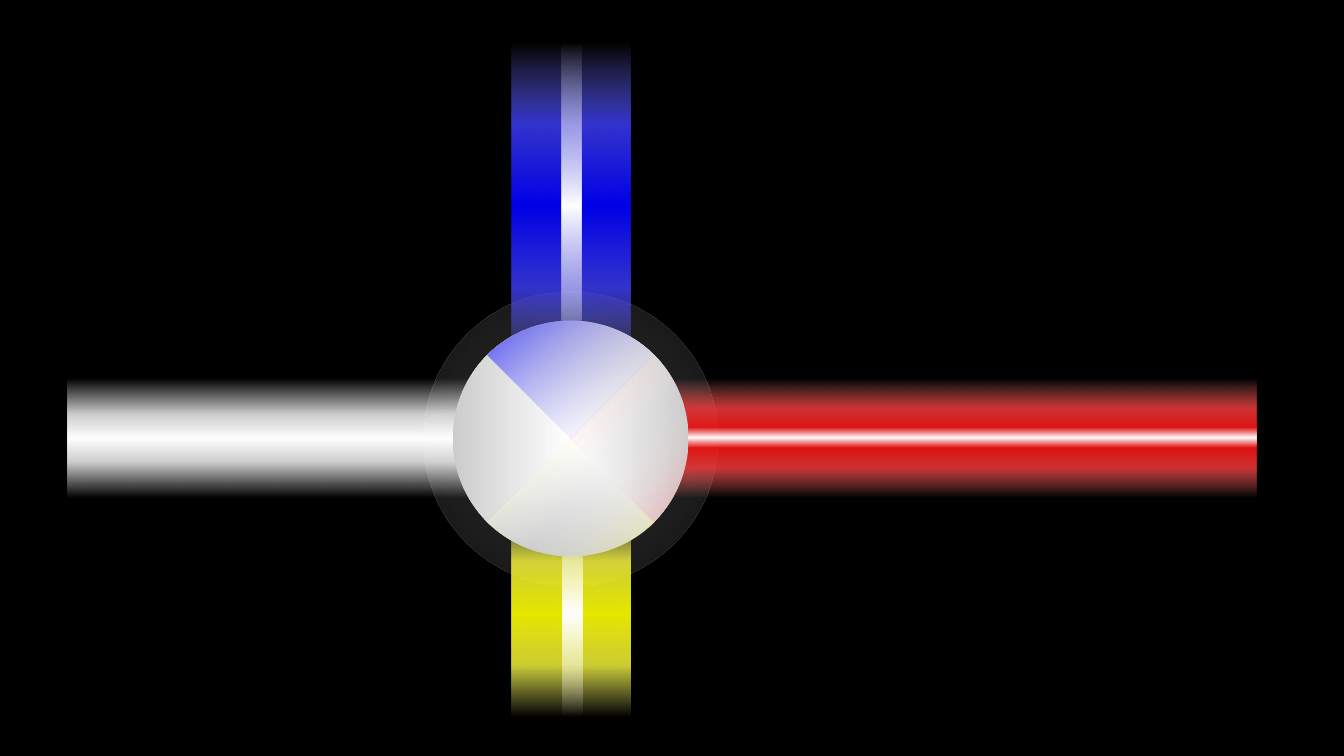
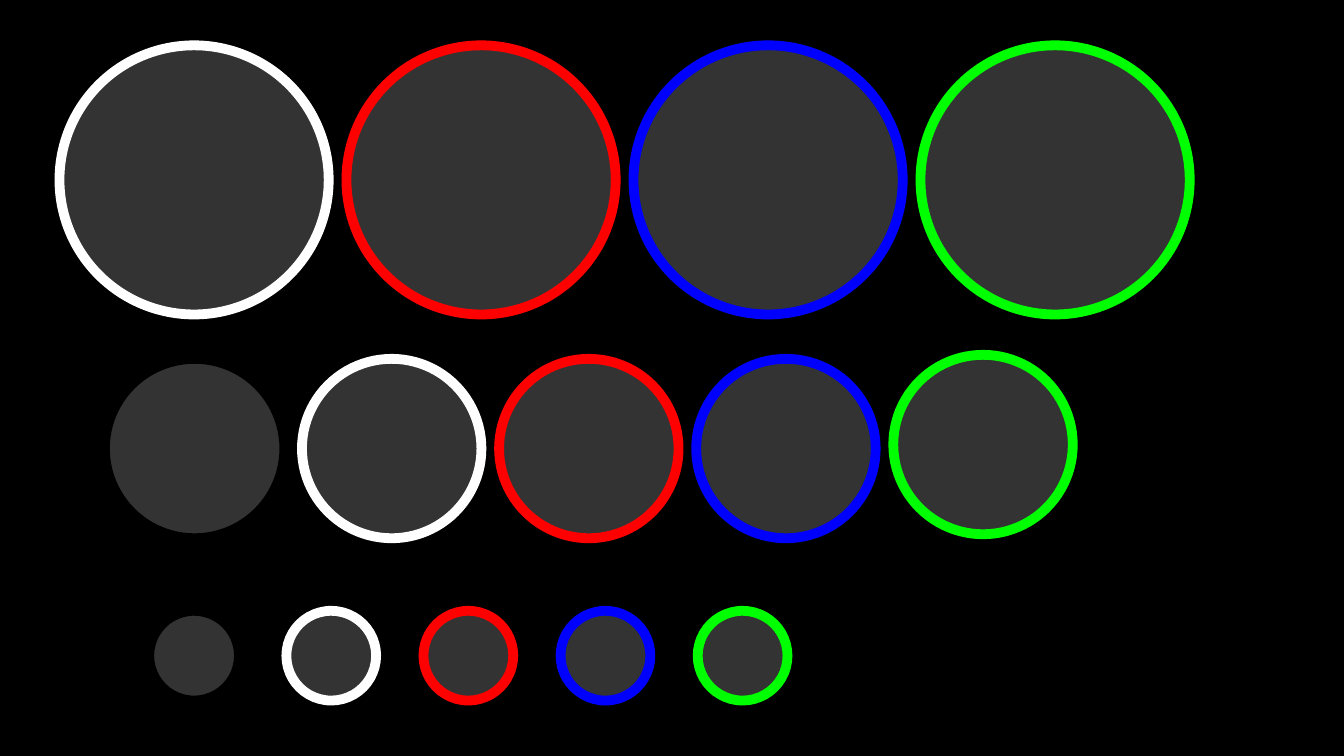
from lxml.etree import SubElement
from pptx import Presentation
from pptx.dml.color import RGBColor
from pptx.enum.shapes import MSO_SHAPE as Shp
from pptx.oxml.ns import qn
from pptx.util import Inches, Pt

# Content: colours
C = {"black": "000000", "white": "FFFFFF", "red": "FF0000", "blue": "0000FF",
     "green": "00FF00", "yellow": "FFFF00", "dark": "333333", "gray": "808080",
     "silver": "CCCCCC", "sea": "0070C0"}

# Content: gradient stops as (position %, colour, opacity %)
HALO = [(0, C["gray"], 0), (100, C["black"], 100)]
WHITE_BEAM = [(0, C["white"], 0), (30, C["white"], 80), (50, C["white"], 100),
              (70, C["white"], 80), (100, C["white"], 0)]
CORE = [(0, C["white"], 0), (50, C["white"], 100), (100, C["white"], 0)]
BALL = [(0, C["white"], 100), (100, C["silver"], 100)]

# Content: beams as (left, top, length), rotation, (edge, mid, centre), core offset
BEAM_H, CORE_H = 1.18, 0.2
BEAMS = [
    ((6.19, 3.76, 6.27), 0, ("FF8080", "FF4040", C["red"]), (0, 0.48)),
    ((4.04, 1.45, 3.24), 90, ("8080FF", "4040FF", C["blue"]), (0.01, 0.49)),
    ((4.64, 5.49, 2.05), 90, ("FFFF80", "FFFF40", C["yellow"]), (0.01, 0.49)),
]

# Content: ball sectors as rotation, centre colour, rim colour
BALL_BOX = (4.49, 3.18, 2.34, 2.34)
SECTORS = [(45, C["sea"], C["blue"]), (135, C["red"], C["red"]),
           (225, C["yellow"], C["yellow"])]
SECTOR_ANGLES = (107.994, 162.153)
CENTER, CORNER = (50, 50, 50, 50), (100, 100, 0, 0)

# Content: ring rows as first left, last left, top, diameter, fill, opacity, rings
RINGS = ["white", "red", "blue", "green"]
ROWS = [
    (0.59, 9.13, 0.45, 2.67, "dark", 100, RINGS),
    (1.04, 8.86, 3.56, 1.78, "white", 20, ["black"] + RINGS),
    (1.48, 6.92, 6.06, 0.89, "white", 20, ["black"] + RINGS),
]
TOP_SHIFT = {(1, "green"): -0.04}


def new_slide():
    slide = prs.slides.add_slide(prs.slide_layouts[6])
    slide.background.fill.solid()
    slide.background.fill.fore_color.rgb = RGBColor.from_string(C["black"])
    return slide


def add_shape(shapes, kind, box, rot=0):
    sp = shapes.add_shape(kind, *map(Inches, box))
    sp.rotation = rot
    sp.shadow.inherit = False
    sp.line.fill.background()
    return sp


def set_alpha(color, percent):
    if percent < 100:
        SubElement(color, qn("a:alpha"), val=str(percent * 1000))


def set_gradient(sp, stops, kind=None, focus=None):
    """Linear top to bottom on the page, or along a path towards focus."""
    sp.fill.gradient()
    grad = sp._element.spPr.find(qn("a:gradFill"))
    for child in list(grad):
        grad.remove(child)
    grad.set("rotWithShape", "1" if kind else "0")
    gs_list = SubElement(grad, qn("a:gsLst"))
    for pos, rgb, alpha in stops:
        gs = SubElement(gs_list, qn("a:gs"), pos=str(pos * 1000))
        set_alpha(SubElement(gs, qn("a:srgbClr"), val=rgb), alpha)
    if kind:
        route = SubElement(grad, qn("a:path"), {"path": kind})
        SubElement(route, qn("a:fillToRect"),
                   {side: str(v * 1000) for side, v in zip("ltrb", focus)})
    else:
        SubElement(grad, qn("a:lin"), ang=str(90 * 60000), scaled="0")


prs = Presentation()
prs.slide_width, prs.slide_height = Inches(13.33), Inches(7.5)

# Slide 1: halo and white beam
s = new_slide()
halo = add_shape(s.shapes, Shp.OVAL, (4.2, 2.89, 2.92, 2.92))
set_gradient(halo, HALO, "circle", CENTER)
set_gradient(add_shape(s.shapes, Shp.RECTANGLE, (0.67, 3.76, 4.2, BEAM_H)), WHITE_BEAM)

# Coloured beams with a bright core
for (x, y, length), rot, (edge, mid, centre), (dx, dy) in BEAMS:
    group = s.shapes.add_group_shape().shapes
    glow = [(0, edge, 0), (25, mid, 80), (50, centre, 90), (75, mid, 80), (100, edge, 0)]
    for box, stops in [((x, y, length, BEAM_H), glow),
                       ((x + dx, y + dy, length, CORE_H), CORE)]:
        set_gradient(add_shape(group, Shp.RECTANGLE, box, rot), stops)

# Ball with tinted sectors
ball = s.shapes.add_group_shape().shapes
set_gradient(add_shape(ball, Shp.OVAL, BALL_BOX, 90), BALL, "rect", CENTER)
for rot, inner, rim in SECTORS:
    sp = add_shape(ball, Shp.PIE, BALL_BOX, rot)
    sp.adjustments[0], sp.adjustments[1] = SECTOR_ANGLES
    set_gradient(sp, [(5, inner, 70), (40, C["white"], 0), (90, rim, 100)],
                 "circle", CORNER)

# Slide 2: rows of rings
s = new_slide()
for row, (first, last, top, size, fill, alpha, rings) in enumerate(ROWS):
    step = (last - first) / (len(rings) - 1)
    for col, ring in enumerate(rings):
        y = top + TOP_SHIFT.get((row, ring), 0)
        sp = add_shape(s.shapes, Shp.OVAL, (first + col * step, y, size, size))
        sp.fill.solid()
        sp.fill.fore_color.rgb = RGBColor.from_string(C[fill])
        set_alpha(sp._element.spPr.find(qn("a:solidFill"))[0], alpha)
        sp.line.color.rgb = RGBColor.from_string(C[ring])
        sp.line.width = Pt(7)

prs.save("out.pptx")
